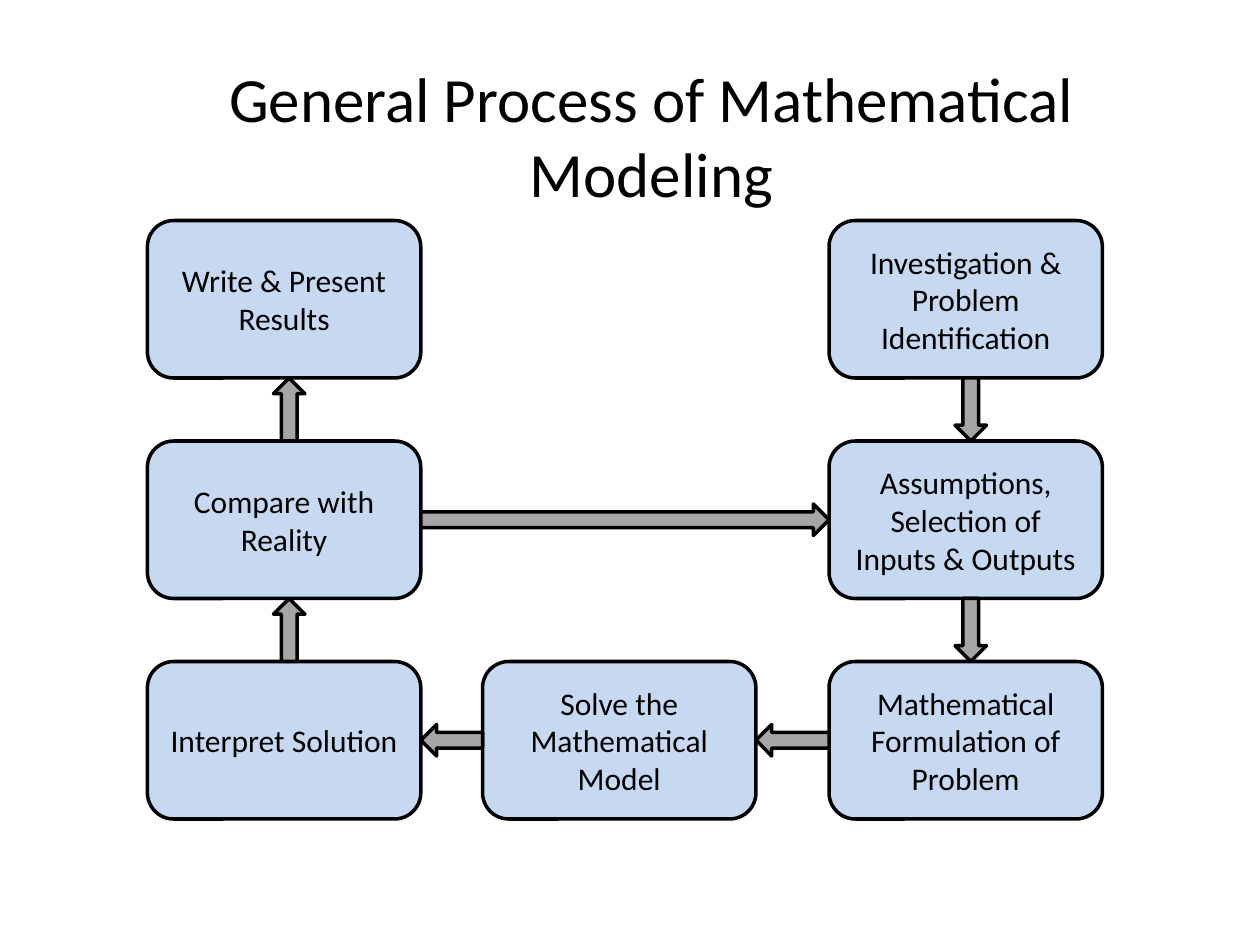
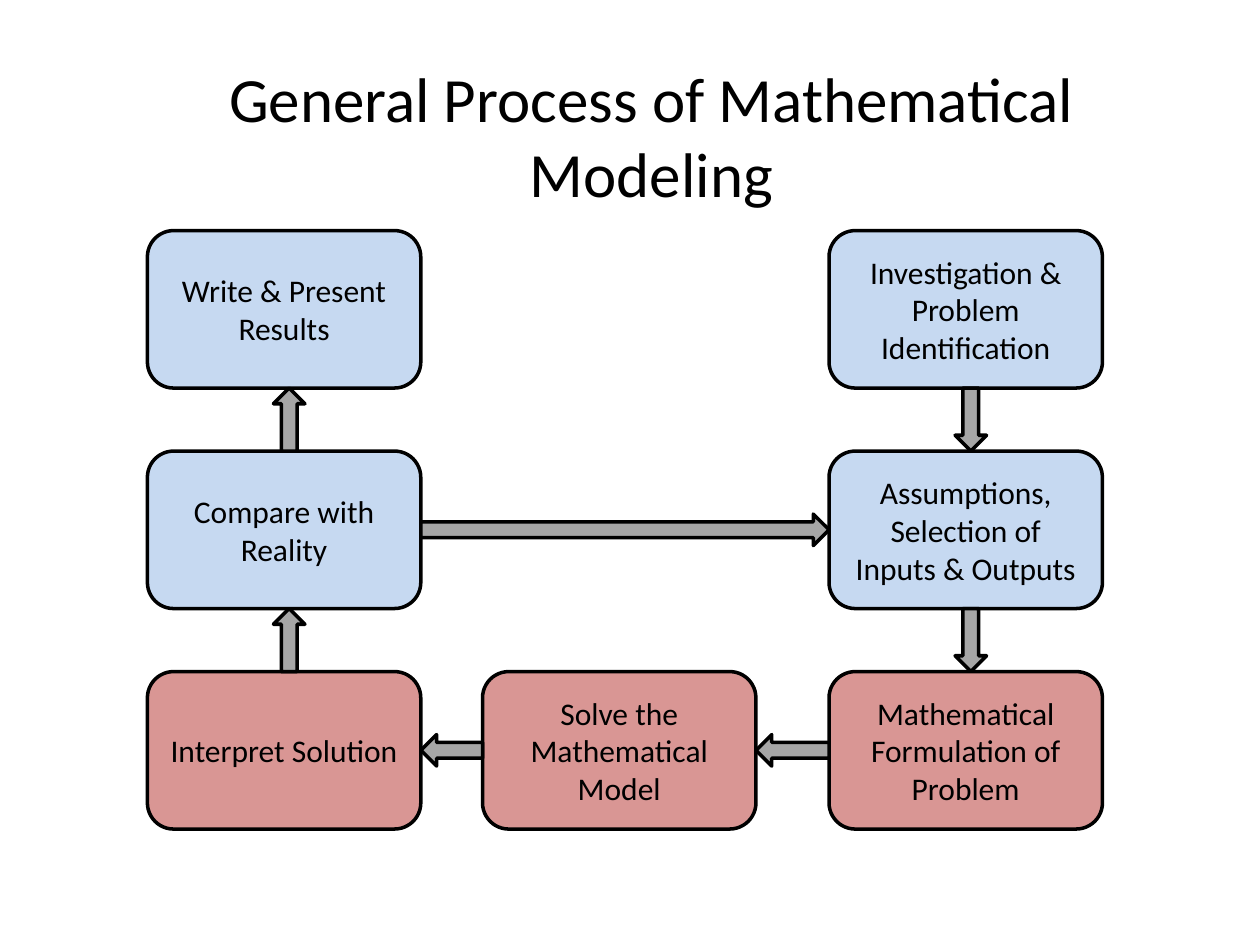
from pptx import Presentation
from pptx.dml.color import RGBColor
from pptx.enum.shapes import MSO_SHAPE
from pptx.enum.text import MSO_ANCHOR, MSO_AUTO_SIZE, PP_ALIGN
from pptx.util import Inches, Pt

BLACK = RGBColor(0x00, 0x00, 0x00)
BLUE = RGBColor(0xC6, 0xD9, 0xF1)
RED = RGBColor(0xD9, 0x96, 0x94)
GRAY = RGBColor(0xA6, 0xA6, 0xA6)
FONT = "Calibri"

TITLE = "General Process of Mathematical Modeling"
STEPS = {
    "investigate": ("Investigation & Problem Identification", 2, 0),
    "assume": ("Assumptions, Selection of Inputs & Outputs", 2, 1),
    "formulate": ("Mathematical Formulation of Problem", 2, 2),
    "solve": ("Solve the Mathematical Model", 1, 2),
    "interpret": ("Interpret Solution", 0, 2),
    "compare": ("Compare with Reality", 0, 1),
    "present": ("Write & Present Results", 0, 0),
}
FLOWS = [
    ("investigate", "assume"),
    ("assume", "formulate"),
    ("formulate", "solve"),
    ("solve", "interpret"),
    ("interpret", "compare"),
    ("compare", "present"),
    ("compare", "assume"),
]
SLIDES = [
    {"top": 1.75, "highlighted": ()},
    {"top": 1.83, "highlighted": ("formulate", "solve", "interpret")},
]

COLUMNS = (1.17, 3.83, 6.58)
BOX_W, BOX_H, ROW_STEP = 2.17, 1.25, 1.75
ARROW_W, ARROW_INSET = 0.25, 1.0


def write(shape, text, size, anchor):
    tf = shape.text_frame
    tf.text = text
    tf.word_wrap = True
    tf.auto_size = MSO_AUTO_SIZE.NONE
    tf.vertical_anchor = anchor
    p = tf.paragraphs[0]
    p.alignment = PP_ALIGN.CENTER
    p.font.name, p.font.size, p.font.color.rgb = FONT, Pt(size), BLACK


def add_outlined(s, kind, box, fill):
    sp = s.shapes.add_shape(kind, *(Inches(v) for v in box))
    sp.shadow.inherit = False
    sp.fill.solid()
    sp.fill.fore_color.rgb = fill
    sp.line.color.rgb = BLACK
    sp.line.width = Pt(2)
    return sp


def step_corner(name, top):
    _, column, row = STEPS[name]
    return COLUMNS[column], top + row * ROW_STEP


def add_flow(s, start, end, top):
    (x1, y1), (x2, y2) = step_corner(start, top), step_corner(end, top)
    if x1 == x2:
        kind = MSO_SHAPE.DOWN_ARROW if y2 > y1 else MSO_SHAPE.UP_ARROW
        box = (x1 + ARROW_INSET, min(y1, y2) + BOX_H, ARROW_W, ROW_STEP - BOX_H)
    else:
        kind = MSO_SHAPE.RIGHT_ARROW if x2 > x1 else MSO_SHAPE.LEFT_ARROW
        box = (min(x1, x2) + BOX_W, y1 + (BOX_H - ARROW_W) / 2, abs(x2 - x1) - BOX_W, ARROW_W)
    add_outlined(s, kind, box, GRAY)


def add_process(prs, top, highlighted):
    s = prs.slides.add_slide(prs.slide_layouts[5])
    title = s.shapes.title
    title.left, title.top = Inches(0.88), Inches(0.42)
    title.width, title.height = Inches(8.58), Inches(1.31)
    write(title, TITLE, 36, MSO_ANCHOR.TOP)
    for name, (text, _, _) in STEPS.items():
        fill = RED if name in highlighted else BLUE
        box = (*step_corner(name, top), BOX_W, BOX_H)
        sp = add_outlined(s, MSO_SHAPE.ROUNDED_RECTANGLE, box, fill)
        write(sp, text, 18, MSO_ANCHOR.MIDDLE)
    for start, end in FLOWS:
        add_flow(s, start, end, top)


def main():
    """Build the two process slides."""
    prs = Presentation()
    prs.slide_width, prs.slide_height = Inches(10), Inches(7.5)
    for slide in SLIDES:
        add_process(prs, **slide)
    prs.save("out.pptx")


if __name__ == "__main__":
    main()
